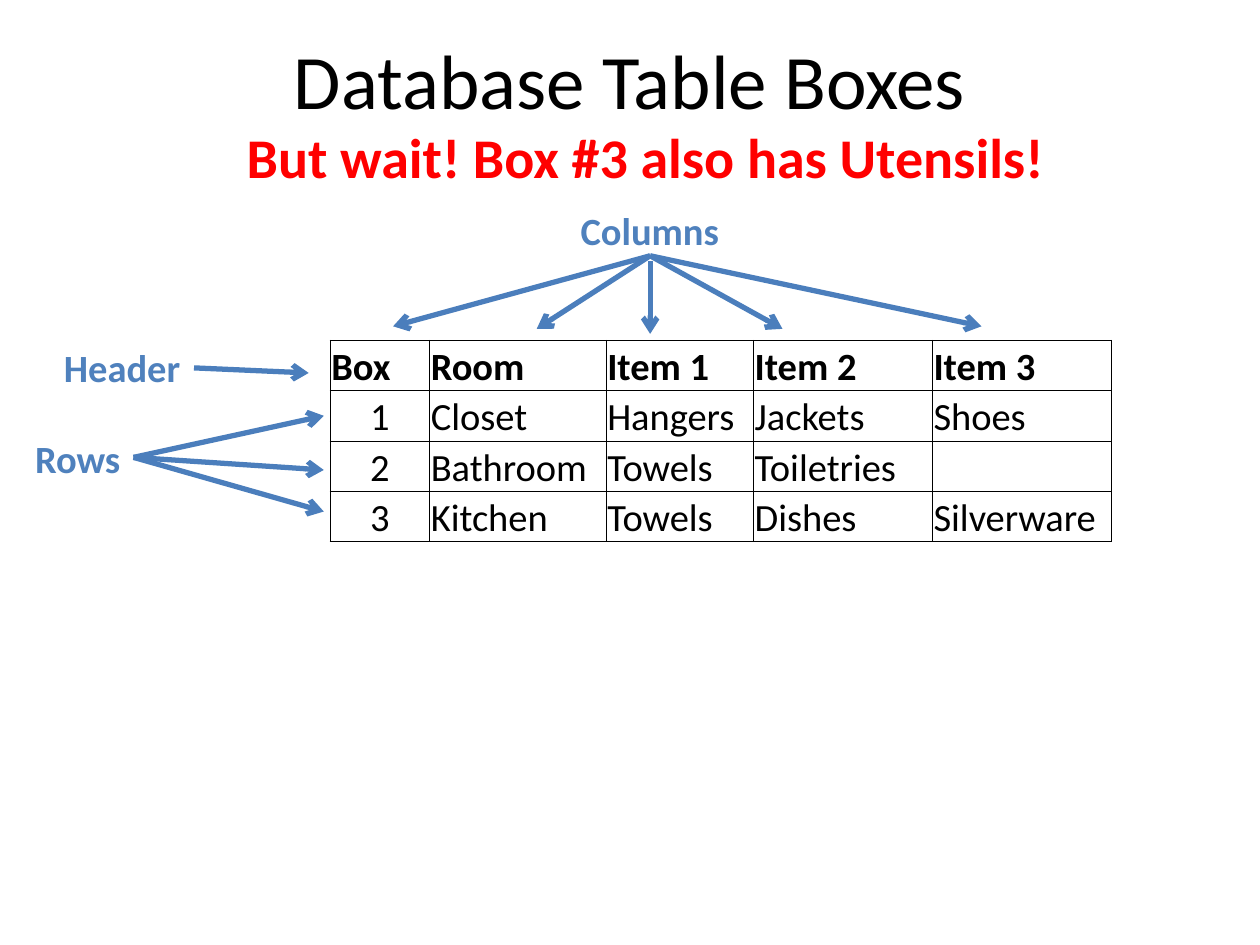
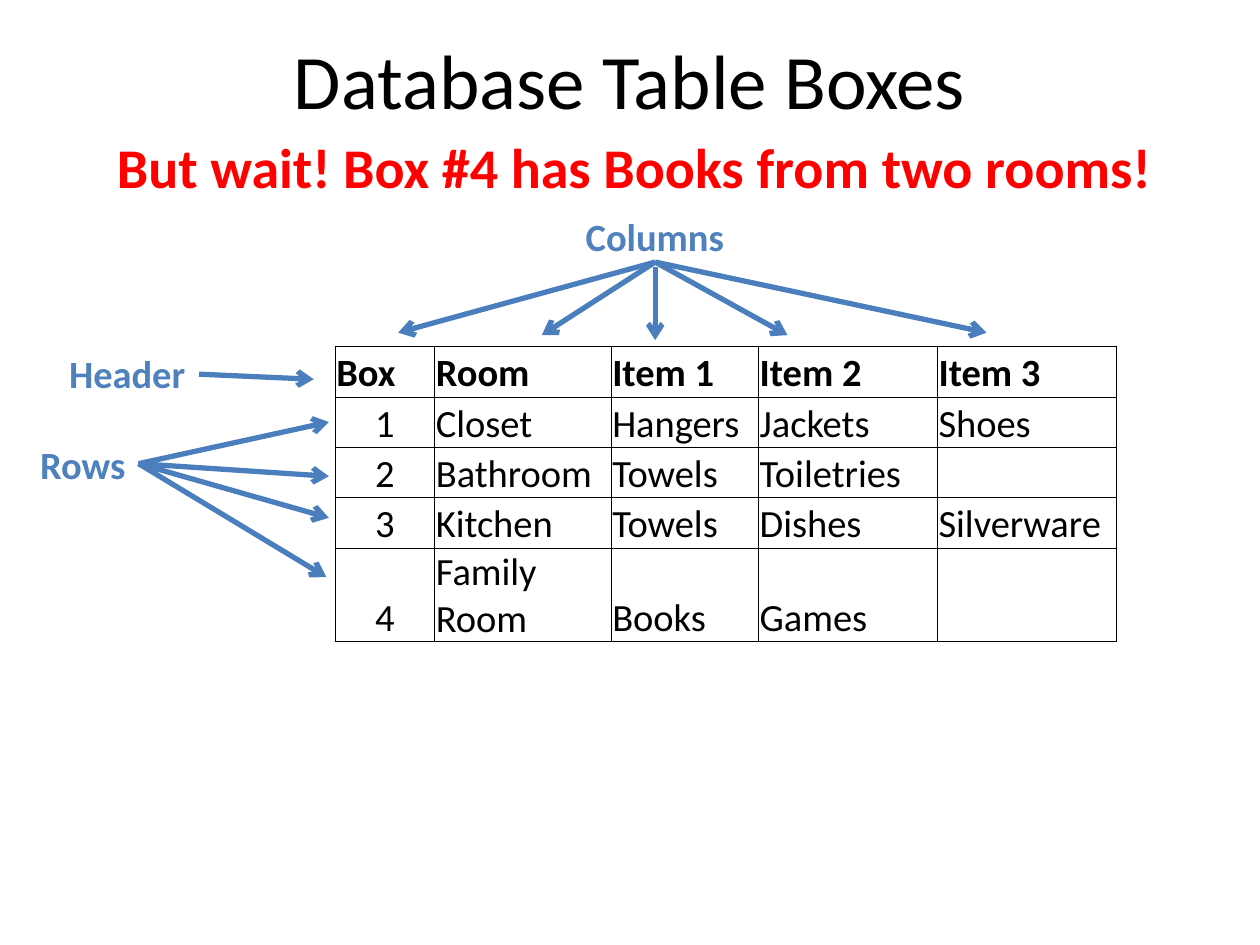
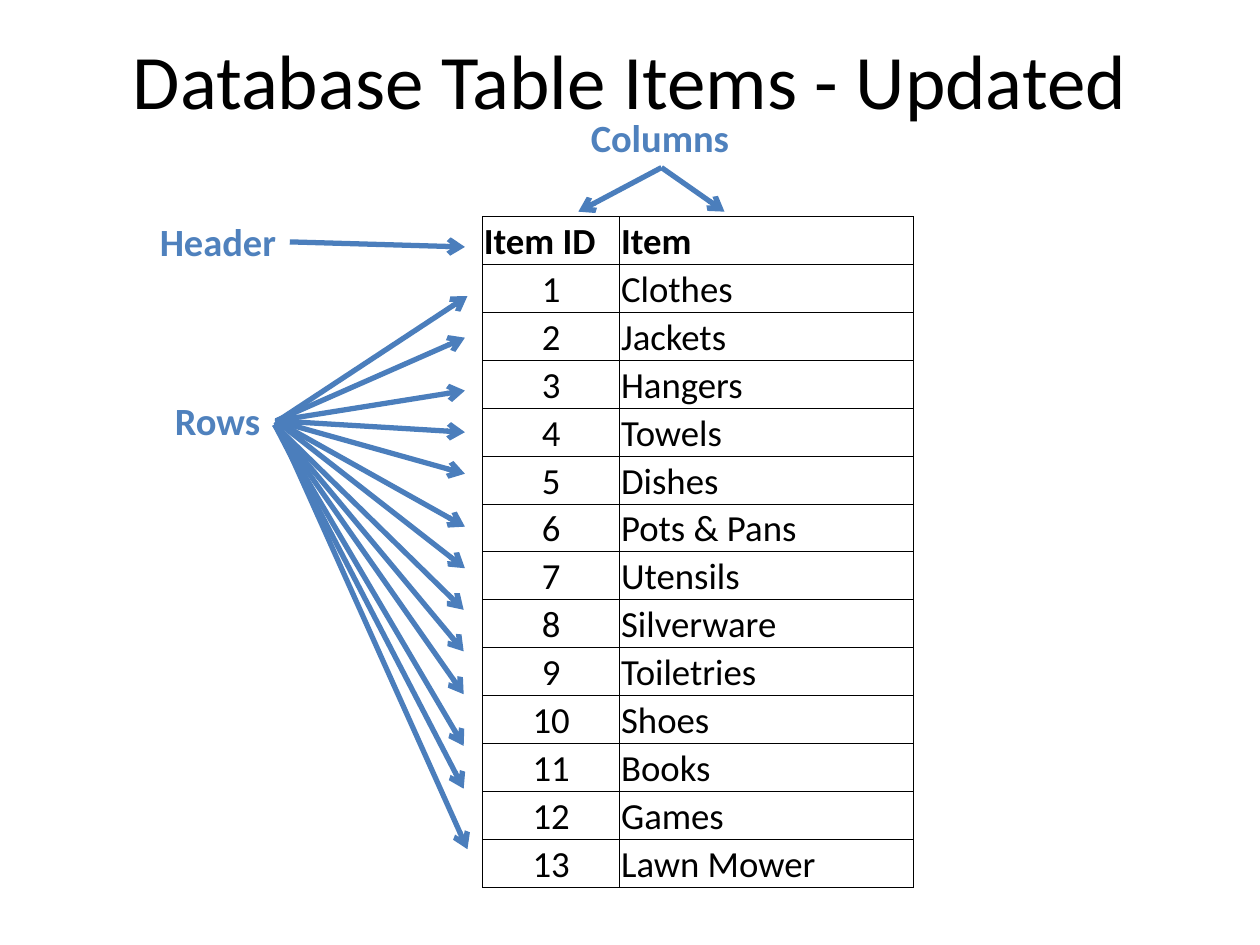
from dataclasses import dataclass, replace

from lxml import etree
from pptx import Presentation
from pptx.dml.color import RGBColor
from pptx.enum.shapes import MSO_CONNECTOR
from pptx.enum.text import MSO_ANCHOR, MSO_AUTO_SIZE, PP_ALIGN
from pptx.oxml.ns import qn
from pptx.util import Inches, Pt

STRAIGHT = MSO_CONNECTOR.STRAIGHT
MIDDLE, BOTTOM, TOP = MSO_ANCHOR.MIDDLE, MSO_ANCHOR.BOTTOM, MSO_ANCHOR.TOP
FIT = MSO_AUTO_SIZE.SHAPE_TO_FIT_TEXT
LEFT, CENTER = PP_ALIGN.LEFT, PP_ALIGN.CENTER

FONT = "Calibri"
BLACK, BLUE, ARROW, RED = "000000", "4F81BD", "4B7EBC", "FF0000"
EDGES = ("a:lnL", "a:lnR", "a:lnT", "a:lnB")

Point = tuple[float, float]


@dataclass
class Label:
    text: str
    x: float
    y: float
    width: float
    height: float = 0.47
    size: int = 22
    color: str = BLUE


@dataclass
class Fan:
    start: Point
    tips: list[Point]


@dataclass
class Grid:
    x: float
    y: float
    cols: list[float]
    height: float
    size: int
    rows: list[list[str]]


@dataclass
class Page:
    title: str
    labels: list[Label]
    fans: list[Fan]
    grid: Grid


def paint(color: str) -> RGBColor:
    return RGBColor.from_string(color)


def style(para, size: int, color: str, bold: bool, align=LEFT) -> None:
    para.alignment = align
    font = para.font
    font.name, font.size, font.bold = FONT, Pt(size), bold
    font.color.rgb = paint(color)


def add_title(slide, text: str) -> None:
    box = slide.shapes.add_textbox(Inches(0.5), 0, Inches(9), Inches(1.25))
    frame = box.text_frame
    frame.word_wrap = True
    frame.vertical_anchor = MIDDLE
    frame.text = text
    style(frame.paragraphs[0], 44, BLACK, False, CENTER)


def add_label(slide, label: Label) -> None:
    box = slide.shapes.add_textbox(
        Inches(label.x), Inches(label.y), Inches(label.width), Inches(label.height)
    )
    frame = box.text_frame
    frame.word_wrap = False
    frame.auto_size = FIT
    frame.vertical_anchor = TOP
    frame.text = label.text
    style(frame.paragraphs[0], label.size, label.color, True)


def add_fan(slide, fan: Fan) -> None:
    for tip in fan.tips:
        ends = [Inches(value) for value in (*fan.start, *tip)]
        line = slide.shapes.add_connector(STRAIGHT, *ends)
        line.line.color.rgb = paint(ARROW)
        line.line.width = Pt(3)
        etree.SubElement(line.line._get_or_add_ln(), qn("a:tailEnd"), type="arrow")
        etree.SubElement(line._element.spPr, qn("a:effectLst"))


def add_edges(cell) -> None:
    props = cell._tc.get_or_add_tcPr()
    for name in EDGES:
        edge = etree.SubElement(props, qn(name), w=str(Pt(0.5)))
        fill = etree.SubElement(edge, qn("a:solidFill"))
        etree.SubElement(fill, qn("a:srgbClr"), val=BLACK)


def add_grid(slide, grid: Grid) -> None:
    count = len(grid.rows)
    table = slide.shapes.add_table(
        count, len(grid.cols), Inches(grid.x), Inches(grid.y),
        Inches(sum(grid.cols)), Inches(grid.height * count),
    ).table
    table.first_row = table.horz_banding = False
    for col, width in zip(table.columns, grid.cols):
        col.width = Inches(width)
    for r, row in enumerate(grid.rows):
        table.rows[r].height = Inches(grid.height)
        for c, text in enumerate(row):
            cell = table.cell(r, c)
            cell.margin_left = cell.margin_right = cell.margin_top = Inches(0.01)
            cell.margin_bottom = 0
            cell.vertical_anchor = BOTTOM
            add_edges(cell)
            cell.fill.background()
            cell.text = text
            align = CENTER if r and not c else LEFT
            style(cell.text_frame.paragraphs[0], grid.size, BLACK, r == 0, align)


def add_page(deck, page: Page) -> None:
    slide = deck.slides.add_slide(deck.slide_layouts[6])
    add_title(slide, page.title)
    for fan in page.fans:
        add_fan(slide, fan)
    for label in page.labels:
        add_label(slide, label)
    add_grid(slide, page.grid)


def name_parts(rows: Point, cols: Point, head: Point) -> list[Label]:
    return [
        Label("Rows", *rows, 0.89),
        Label("Columns", *cols, 1.31),
        Label("Header", *head, 1.14),
    ]


def shift(page: Page, dx: float, dy: float) -> Page:
    def move(point: Point) -> Point:
        return point[0] + dx, point[1] + dy

    return Page(
        page.title,
        [replace(part, x=part.x + dx, y=part.y + dy) for part in page.labels],
        [Fan(move(fan.start), [move(tip) for tip in fan.tips]) for fan in page.fans],
        replace(page.grid, x=page.grid.x + dx, y=page.grid.y + dy),
    )


def warn(text: str, x: float, y: float, width: float) -> Label:
    return Label(text, x, y, width, 0.64, 32, RED)


BOXES = Page(
    "Database Table Boxes",
    name_parts((0.18, 3.4), (4.51, 1.59), (0.41, 2.68)),
    [
        Fan((1.06, 3.63), [(2.57, 3.3), (2.57, 3.73), (2.57, 4.06)]),
        Fan((1.54, 2.92), [(2.45, 2.96)]),
        Fan((5.16, 2.07), [(5.16, 2.65)]),
        Fan((5.16, 2.03), [(3.12, 2.59), (4.26, 2.61), (6.21, 2.61), (7.79, 2.59)]),
    ],
    Grid(2.62, 2.7, [0.79, 1.4, 1.17, 1.42, 1.42], 0.4, 22, [
        ["Box", "Room", "Item 1", "Item 2", "Item 3"],
        ["1", "Closet", "Hangers", "Jackets", "Shoes"],
        ["2", "Bathroom", "Towels", "Toiletries", ""],
        ["3", "Kitchen", "Towels", "Dishes", "Silverware"],
    ]),
)

GOODS = [
    "Clothes", "Jackets", "Hangers", "Towels", "Dishes", "Pots & Pans", "Utensils",
    "Silverware", "Toiletries", "Shoes", "Books", "Games", "Lawn Mower",
]

ITEMS = Page(
    "Database Table Items - Updated",
    name_parts((1.29, 3.1), (4.59, 0.86), (1.17, 1.68)),
    [
        Fan((2.19, 3.35), [(3.71, 2.35), (3.71, 6.74)]),
        Fan((2.19, 3.34), [(3.69, y) for y in (2.68, 3.1, 3.43, 3.76, 4.18, 4.51)]),
        Fan((2.18, 3.37), [(3.68, y) for y in (4.84, 5.17, 5.51, 5.92, 6.26)]),
        Fan((2.3, 1.92), [(3.69, 1.96)]),
        Fan((5.25, 1.33), [(4.59, 1.68), (5.75, 1.68)]),
    ],
    Grid(3.83, 1.72, [1.09, 2.33], 0.38, 21, [
        ["Item ID", "Item"],
        *([str(n), name] for n, name in enumerate(GOODS, 1)),
    ]),
)


def main() -> None:
    deck = Presentation()
    deck.slide_width, deck.slide_height = Inches(10), Inches(7.5)

    third = replace(BOXES, labels=[
        *BOXES.labels, warn("But wait! Box #3 also has Utensils!", 1.86, 0.92, 6.59),
    ])
    add_page(deck, third)

    fourth = shift(BOXES, 0.04, 0.05)
    fourth.labels.append(
        warn("But wait! Box #4 has Books from two rooms!", 0.83, 1, 8.5)
    )
    fourth.fans[0].tips.append((2.59, 4.58))
    fourth.grid.rows = [*BOXES.grid.rows, ["4", "Family Room", "Books", "Games", ""]]
    add_page(deck, fourth)

    add_page(deck, ITEMS)
    deck.save("out.pptx")


if __name__ == "__main__":
    main()
